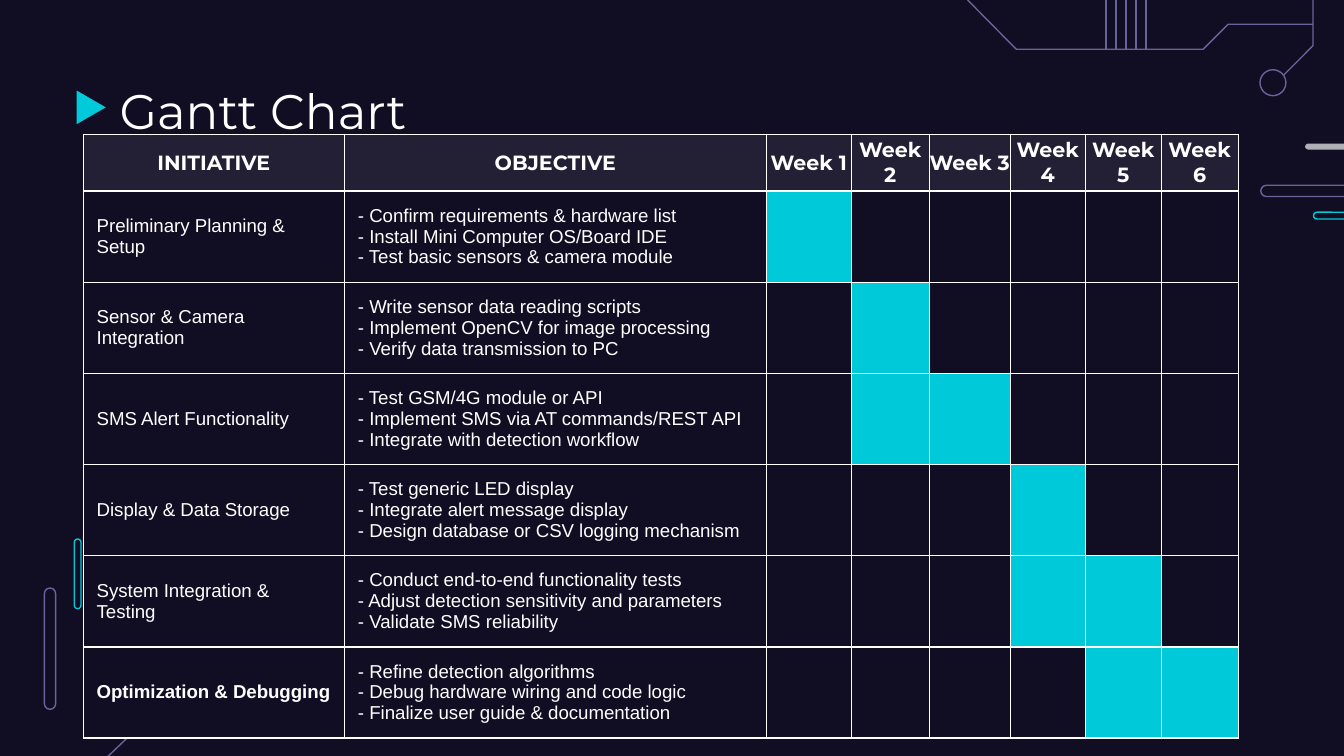
"""Build a dark project-plan slide with a six-week Gantt table."""
from dataclasses import dataclass

from lxml.etree import SubElement
from pptx import Presentation
from pptx.dml.color import RGBColor as Rgb
from pptx.enum.shapes import MSO_CONNECTOR as Connector, MSO_SHAPE as Shape
from pptx.enum.text import MSO_ANCHOR as Anchor, PP_ALIGN as Align
from pptx.oxml.ns import qn
from pptx.util import Pt


@dataclass(frozen=True)
class Theme:
    background: str = "110E24"
    white: str = "FFFFFF"
    accent: str = "00CADA"
    circuit: str = "69639C"
    grey: str = "AFAFB6"
    header_alpha: int = 8
    line_width: float = 0.75
    heading_font: str = "Montserrat"
    body_font: str = "Arial"
    title_size: int = 26
    header_size: int = 11
    body_size: int = 10


THEME = Theme()
WEEKS = 6
COLUMN_WIDTHS = [140, 226, 45.5, 41.8, 43.4, 40.2, 40.7, 41.2]
HEADER_HEIGHT, ROW_HEIGHT = 30.5, 48.85
HEADER_MARGINS, BODY_MARGINS = (0, 0), (7.2, 5)

TASKS = [
    ("Preliminary Planning & Setup",
     ["Confirm requirements & hardware list",
      "Install Mini Computer OS/Board IDE",
      "Test basic sensors & camera module"], {1}),
    ("Sensor & Camera Integration",
     ["Write sensor data reading scripts",
      "Implement OpenCV for image processing",
      "Verify data transmission to PC"], {2}),
    ("SMS Alert Functionality",
     ["Test GSM/4G module or API",
      "Implement SMS via AT commands/REST API",
      "Integrate with detection workflow"], {2, 3}),
    ("Display & Data Storage",
     ["Test generic LED display",
      "Integrate alert message display",
      "Design database or CSV logging mechanism"], {4}),
    ("System Integration & Testing",
     ["Conduct end-to-end functionality tests",
      "Adjust detection sensitivity and parameters",
      "Validate SMS reliability"], {4, 5}),
    ("Optimization & Debugging",
     ["Refine detection algorithms",
      "Debug hardware wiring and code logic",
      "Finalize user guide & documentation"], {5, 6}),
]


def color(value):
    return Rgb.from_string(value)


def style_line(line, value):
    line.color.rgb = color(value)
    line.width = Pt(THEME.line_width)


def style_shape(shape, fill=None, line=None):
    shape.shadow.inherit = False
    if fill:
        shape.fill.solid()
        shape.fill.fore_color.rgb = color(fill)
    else:
        shape.fill.background()
    if line:
        style_line(shape.line, line)
    else:
        shape.line.fill.background()


def add_preset(slide, kind, box, fill=None, line=None):
    shape = slide.shapes.add_shape(kind, *map(Pt, box))
    style_shape(shape, fill, line)
    return shape


def add_pill(slide, box, fill=None, line=None):
    add_preset(slide, Shape.ROUNDED_RECTANGLE, box, fill, line).adjustments[0] = 0.5


def add_line(slide, start, end):
    connector = slide.shapes.add_connector(Connector.STRAIGHT, *map(Pt, start + end))
    style_line(connector.line, THEME.circuit)
    SubElement(connector._element.spPr, qn("a:effectLst"))


def add_trace(slide, points):
    start, *rest = [(Pt(x), Pt(y)) for x, y in points]
    builder = slide.shapes.build_freeform(*start)
    builder.add_line_segments(rest, close=False)
    style_shape(builder.convert_to_shape(), line=THEME.circuit)


def add_circuit(slide):
    add_line(slide, (56.2, 406.8), (87, 377.3))
    add_trace(slide, [(687.6, 40.3), (703.4, 24.5), (703.4, 13)])
    add_preset(slide, Shape.OVAL, (675, 37.4, 13.9, 13.9), line=THEME.circuit)
    add_trace(slide, [(518.4, 0), (544.5, 26.4), (644.6, 26.4),
                      (658, 13), (703.4, 13), (703.4, 0)])
    for index in range(5):
        x = 592.5 + 5.36 * index
        add_line(slide, (x, 0), (x, 26.4))


def add_pills(slide):
    add_pill(slide, (39.8, 288.8, 3.6, 37.3), line=THEME.accent)
    add_pill(slide, (23.8, 315, 6, 65), line=THEME.circuit)
    add_pill(slide, (703.7, 113.7, 37.3, 3.6), line=THEME.accent)
    add_pill(slide, (675.4, 99.3, 65, 6), line=THEME.circuit)
    add_pill(slide, (699.2, 76.9, 34.6, 3.2), fill=THEME.grey)


def set_margins(target, horizontal, vertical):
    target.margin_left = target.margin_right = Pt(horizontal)
    target.margin_top = target.margin_bottom = Pt(vertical)


def write_text(frame, text, font, size, bold=False, align=Align.LEFT):
    frame.word_wrap = True
    paragraph = frame.paragraphs[0]
    paragraph.text = text
    paragraph.alignment = align
    paragraph.font.name = font
    paragraph.font.size = Pt(size)
    paragraph.font.bold = bold
    paragraph.font.color.rgb = color(THEME.white)


def add_title(slide):
    marker = add_preset(slide, Shape.FLOWCHART_MERGE, (39.9, 49.7, 18, 15.6), THEME.accent)
    marker.rotation = 270
    frame = slide.shapes.add_textbox(Pt(57), Pt(36.2), Pt(607), Pt(45.4)).text_frame
    set_margins(frame, 7.2, 7.2)
    frame.vertical_anchor = Anchor.MIDDLE
    write_text(frame, "Gantt Chart", THEME.heading_font, THEME.title_size)


def style_cell(cell, fill, margins, alpha=None):
    properties = cell._tc.get_or_add_tcPr()
    for side in ("lnL", "lnR", "lnT", "lnB"):
        border = SubElement(properties, qn(f"a:{side}"), w=str(Pt(THEME.line_width)))
        SubElement(SubElement(border, qn("a:solidFill")), qn("a:srgbClr"), val=THEME.white)
    cell.fill.solid()
    cell.fill.fore_color.rgb = color(fill)
    if alpha:
        tint = properties.find(qn("a:solidFill")).find(qn("a:srgbClr"))
        SubElement(tint, qn("a:alpha"), val=str(alpha * 1000))
    cell.vertical_anchor = Anchor.MIDDLE
    set_margins(cell, *margins)


def add_gantt(slide):
    height = HEADER_HEIGHT + ROW_HEIGHT * len(TASKS)
    frame = slide.shapes.add_table(len(TASKS) + 1, len(COLUMN_WIDTHS), Pt(44.6), Pt(71.9),
                                   Pt(sum(COLUMN_WIDTHS)), Pt(height))
    table = frame.table
    table.first_row = table.horz_banding = False
    for column, width in zip(table.columns, COLUMN_WIDTHS):
        column.width = Pt(width)
    for index, row in enumerate(table.rows):
        row.height = Pt(ROW_HEIGHT if index else HEADER_HEIGHT)

    headers = ["INITIATIVE", "OBJECTIVE"] + [f"Week {week}" for week in range(1, WEEKS + 1)]
    for column, header in enumerate(headers):
        cell = table.cell(0, column)
        style_cell(cell, THEME.white, HEADER_MARGINS, THEME.header_alpha)
        write_text(cell.text_frame, header, THEME.heading_font, THEME.header_size,
                   True, Align.CENTER)
    for row, (initiative, objectives, active_weeks) in enumerate(TASKS, 1):
        objective = "\v".join(f"- {item}" for item in objectives)
        for column, text in enumerate((initiative, objective)):
            cell = table.cell(row, column)
            style_cell(cell, THEME.background, BODY_MARGINS)
            write_text(cell.text_frame, text, THEME.body_font, THEME.body_size,
                       column == 0 and row == len(TASKS))
        for week in range(1, WEEKS + 1):
            fill = THEME.accent if week in active_weeks else THEME.background
            style_cell(table.cell(row, week + 1), fill, BODY_MARGINS)


def main():
    presentation = Presentation()
    presentation.slide_width, presentation.slide_height = Pt(720), Pt(405)
    slide = presentation.slides.add_slide(presentation.slide_layouts[6])
    slide.background.fill.solid()
    slide.background.fill.fore_color.rgb = color(THEME.background)
    add_circuit(slide)
    add_pills(slide)
    add_title(slide)
    add_gantt(slide)
    presentation.save("out.pptx")


if __name__ == "__main__":
    main()
